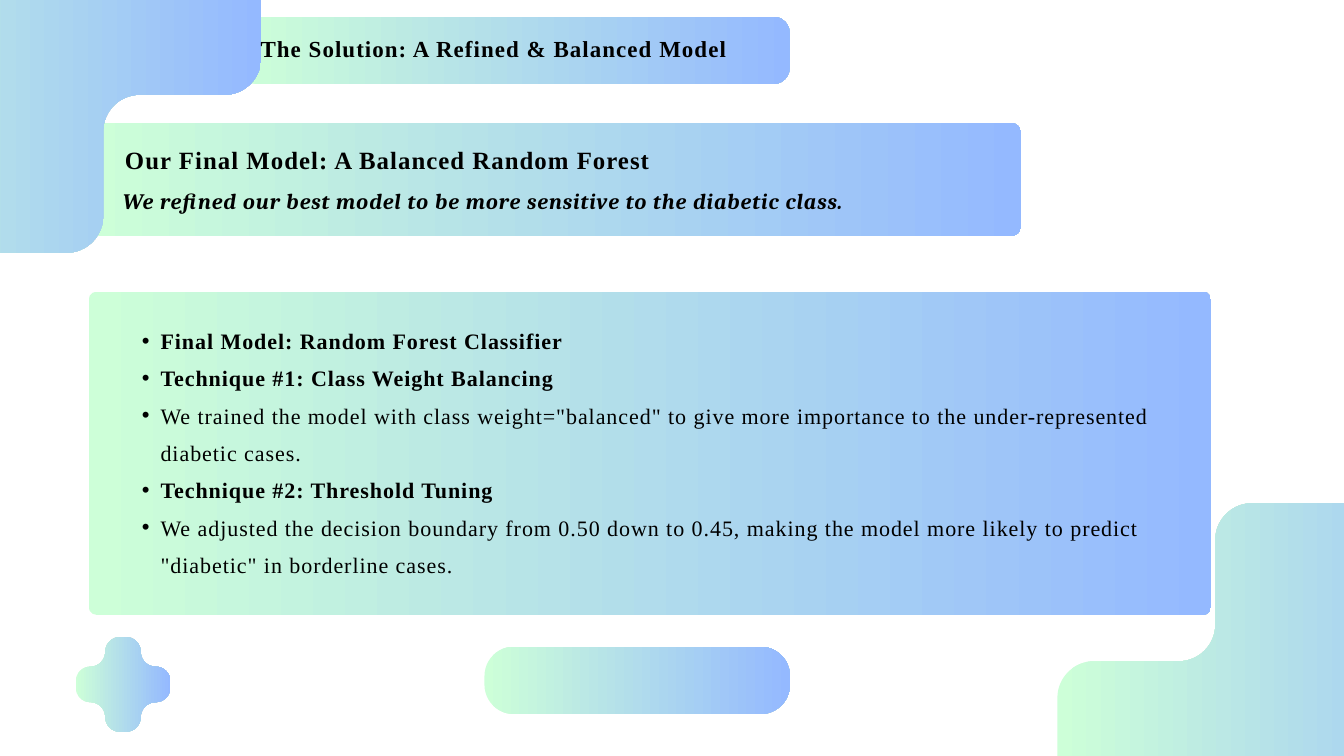
from dataclasses import dataclass
from typing import NamedTuple

from lxml.etree import SubElement
from pptx import Presentation
from pptx.dml.color import RGBColor
from pptx.enum.shapes import MSO_SHAPE
from pptx.enum.text import MSO_AUTO_SIZE, PP_ALIGN
from pptx.oxml.ns import qn
from pptx.shapes.autoshape import Shape
from pptx.slide import Slide
from pptx.util import Inches, Pt

MINT = RGBColor(0xCD, 0xFF, 0xD8)
BLUE = RGBColor(0x94, 0xB9, 0xFF)
BLACK = RGBColor(0, 0, 0)

# The slide is a grid of 80 columns by 45 rows of square cells
COLUMNS, ROWS = 80, 45
CELL = Inches(0.25)
ARC_PULL = 0.55  # share of the way to the corner for a quarter circle's handles


class Box(NamedTuple):
    column: float
    row: float
    columns: float
    rows: float

    def lengths(self) -> list[int]:
        return [round(value * CELL) for value in self]


@dataclass
class Cross:
    column: float
    row: float
    size: float
    radius: float


@dataclass
class Panel:
    box: Box
    radius: float


@dataclass
class Line:
    text: str
    bold: bool = True


@dataclass
class TextBlock:
    box: Box
    lines: list[Line]
    size: float
    line_height: float
    spacing: float
    font: str = "Times New Roman"
    italic: bool = False
    bulleted: bool = False
    alignment: PP_ALIGN = PP_ALIGN.LEFT


# Decorations and panels, from back to front
SHAPES = [
    Cross(62.94, 29.96, 30.08, 2.17),
    Cross(4.5, 37.92, 5.64, 0.88),
    Panel(Box(14.24, 1, 32.76, 4), 0.96),
    Panel(Box(5.28, 7.32, 55.5, 6.72), 0.6),
    Cross(-14.54, -15.04, 30.08, 2.17),
    Panel(Box(28.84, 38.5, 18.18, 4), 1.74),
    Panel(Box(5.28, 17.36, 66.8, 19.24), 0.48),
]

TEXTS = [
    TextBlock(Box(13, 1.76, 32.76, 2.08),
              [Line("The Solution: A Refined & Balanced Model")],
              24.6, 34.4, 1.12, alignment=PP_ALIGN.CENTER),
    TextBlock(Box(7.44, 8.3, 55.5, 2.2),
              [Line("Our Final Model: A Balanced Random Forest")],
              26.57, 37.2, 1.17),
    TextBlock(Box(7.32, 10.88, 55.5, 1.96),
              [Line("We refined our best model to be more sensitive to the diabetic class.")],
              23.57, 33, 1.05, font="Cambria", italic=True),
    TextBlock(Box(7.32, 18.84, 64.8, 15.56),
              [Line("Final Model: Random Forest Classifier"),
               Line("Technique #1: Class Weight Balancing"),
               Line('We trained the model with class weight="balanced" to give more '
                    "importance to the under-represented diabetic cases.", False),
               Line("Technique #2: Threshold Tuning"),
               Line("We adjusted the decision boundary from 0.50 down to 0.45, making "
                    'the model more likely to predict "diabetic" in borderline cases.', False)],
              23.57, 40, 1.05, bulleted=True),
]


def paint(shape: Shape) -> None:
    """Fill with the horizontal mint-to-blue gradient, without outline or shadow."""
    shape.shadow.inherit = False
    shape.line.fill.background()
    shape.fill.gradient()
    shape.fill.gradient_angle = 0
    for stop, color in zip(shape.fill.gradient_stops, (MINT, BLUE)):
        stop.color.rgb = color


def toward(start: tuple[float, float], end: tuple[float, float],
           distance: float) -> tuple[float, float]:
    """Walk a distance along an upright or level edge."""
    across, down = end[0] - start[0], end[1] - start[1]
    share = distance / (abs(across) + abs(down))
    return start[0] + across * share, start[1] + down * share


def cross_outline(cross: Cross) -> list[tuple[int, int]]:
    """List arc start, corner and arc end for each of the twelve corners."""
    near, far, end = (share * cross.size for share in (0.3125, 0.6875, 1))
    corners = [(near, 0), (far, 0), (far, near), (end, near), (end, far), (far, far),
               (far, end), (near, end), (near, far), (0, far), (0, near), (near, near)]
    points = []
    for index, corner in enumerate(corners):
        following = corners[(index + 1) % len(corners)]
        points += [toward(corner, corners[index - 1], cross.radius), corner,
                   toward(corner, following, cross.radius)]
    return [(round((cross.column + x) * CELL), round((cross.row + y) * CELL))
            for x, y in points]


def round_corners(shape: Shape) -> None:
    """Turn each start, corner, end triple of the outline into one curve."""
    outline = shape._element.find(".//" + qn("a:path"))
    steps = [step for step in outline if step.tag != qn("a:close")]
    for start_step, corner_step, end_step in zip(steps[::3], steps[1::3], steps[2::3]):
        start, corner, end = (
            [int(step[-1].get(axis)) for axis in "xy"]
            for step in (start_step, corner_step, end_step))
        curve = SubElement(outline, qn("a:cubicBezTo"))
        handles = [[round(a + (c - a) * ARC_PULL) for a, c in zip(anchor, corner)]
                   for anchor in (start, end)]
        for x, y in (*handles, end):
            SubElement(curve, qn("a:pt"), x=str(x), y=str(y))
        outline.replace(corner_step, curve)
        outline.remove(end_step)


def draw_cross(slide: Slide, cross: Cross) -> None:
    points = cross_outline(cross)
    builder = slide.shapes.build_freeform(*points[0])
    builder.add_line_segments(points[1:], close=True)
    shape = builder.convert_to_shape()
    round_corners(shape)
    paint(shape)


def draw_panel(slide: Slide, panel: Panel) -> None:
    shape = slide.shapes.add_shape(MSO_SHAPE.ROUNDED_RECTANGLE, *panel.box.lengths())
    shape.adjustments[0] = panel.radius / min(panel.box.columns, panel.box.rows)
    paint(shape)


def draw_text(slide: Slide, block: TextBlock) -> None:
    text_frame = slide.shapes.add_textbox(*block.box.lengths()).text_frame
    text_frame.word_wrap = True
    text_frame.auto_size = MSO_AUTO_SIZE.SHAPE_TO_FIT_TEXT
    text_frame.margin_left = text_frame.margin_right = 0
    text_frame.margin_top = text_frame.margin_bottom = 0
    text_frame.text = "\n".join(line.text for line in block.lines)
    for paragraph, line in zip(text_frame.paragraphs, block.lines):
        paragraph.alignment = block.alignment
        paragraph.line_spacing = Pt(block.line_height)
        if block.bulleted:
            paragraph.level = 1
            properties = paragraph._p.get_or_add_pPr()
            properties.set("marL", str(Inches(0.56)))
            properties.set("indent", str(Inches(-0.28)))
            SubElement(properties, qn("a:buFont"), typeface="Arial")
            SubElement(properties, qn("a:buChar"), char="•")
        for run in paragraph.runs:
            run.font.name = block.font
            run.font.size = Pt(block.size)
            run.font.bold = line.bold
            run.font.italic = block.italic
            run.font.color.rgb = BLACK
            run._r.get_or_add_rPr().set("spc", str(round(block.spacing * 100)))


def main() -> None:
    presentation = Presentation()
    presentation.slide_width = COLUMNS * CELL
    presentation.slide_height = ROWS * CELL
    slide = presentation.slides.add_slide(presentation.slide_layouts[6])
    for item in SHAPES:
        if isinstance(item, Cross):
            draw_cross(slide, item)
        else:
            draw_panel(slide, item)
    for block in TEXTS:
        draw_text(slide, block)
    presentation.save("out.pptx")


if __name__ == "__main__":
    main()
